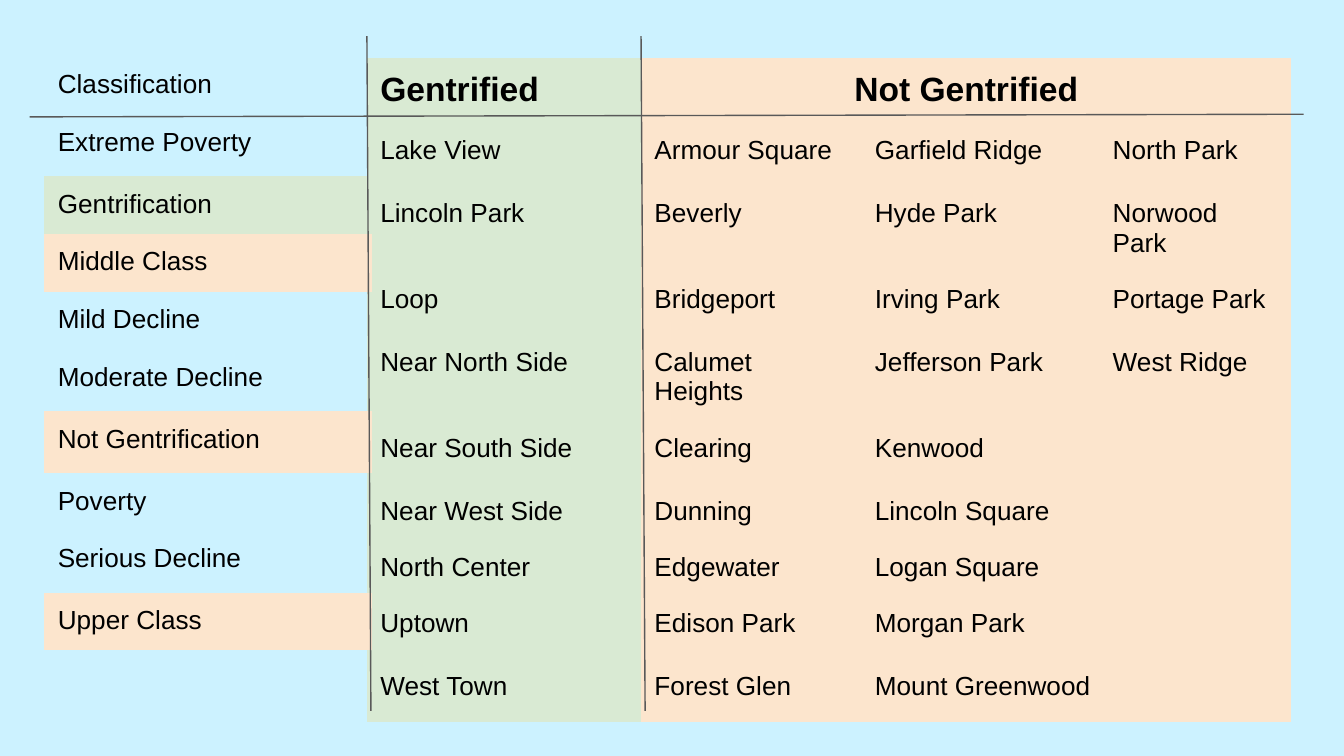
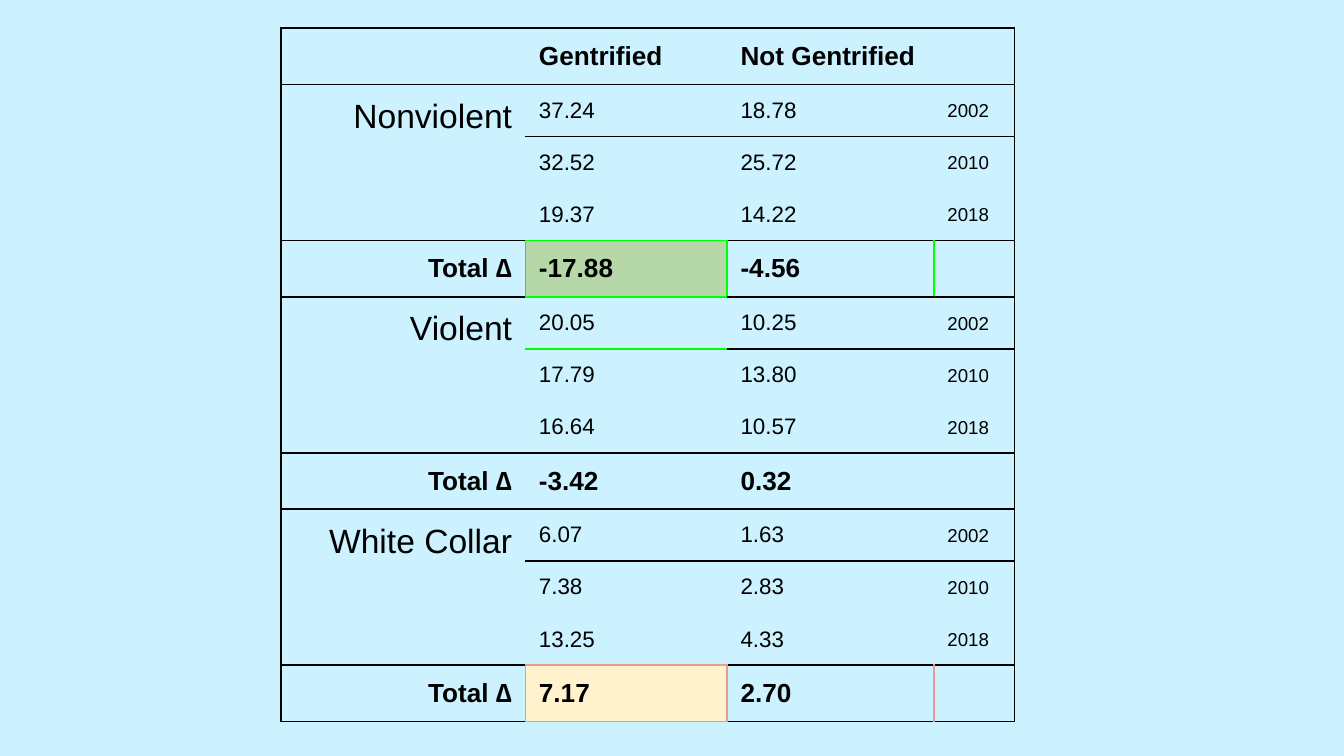
from lxml import etree
from pptx import Presentation, util as u
from pptx.dml import color
from pptx.enum import shapes, text
from pptx.oxml import ns

COLORS = {
    "sky": "CCF2FF", "ink": "000000", "rule": "595959", "green": "D9EAD3",
    "peach": "FCE5CD", "drop": "B6D7A8", "lime": "00FF00", "rise": "FFF2CC", "rose": "EA9999",
}
PLAIN_STYLE = "{2D5ABB26-0587-4C30-8999-92F81FD0307C}"
FORMATS = {
    "title": {"size": 18, "bold": True},
    "group": {"size": 18, "bold": False},
    "head": {"size": 14, "bold": True},
    "body": {"size": 14, "bold": False},
    "value": {"size": 12, "bold": False},
    "year": {"size": 10, "bold": False},
}
CLASSES = ["", "Classification", "Extreme Poverty", "Gentrification", "Middle Class",
           "Mild Decline", "Moderate Decline", "Not Gentrification", "Poverty",
           "Serious Decline", "Upper Class"]
CLASS_FILLS = {"Gentrification": "green", "Middle Class": "peach",
               "Not Gentrification": "peach", "Upper Class": "peach"}
CLASS_HEIGHTS = [0.46, 0.43, 0.46, 0.43, 0.43, 0.43, 0.46, 0.46, 0.43, 0.46, 0.43]
AREAS = [
    ["Gentrified", "Not Gentrified", "", ""],
    ["Lake View", "Armour Square", "Garfield Ridge", "North Park"],
    ["Lincoln Park", "Beverly", "Hyde Park", "Norwood Park"],
    ["Loop", "Bridgeport", "Irving Park", "Portage Park"],
    ["Near North Side", "Calumet Heights", "Jefferson Park", "West Ridge"],
    ["Near South Side", "Clearing", "Kenwood", ""],
    ["Near West Side", "Dunning", "Lincoln Square", ""],
    ["North Center", "Edgewater", "Logan Square", ""],
    ["Uptown", "Edison Park", "Morgan Park", ""],
    ["West Town", "Forest Glen", "Mount Greenwood", ""],
]
AREA_HEIGHTS = [0.25, 0.47, 0.47, 0.47, 0.47, 0.47, 0.25, 0.25, 0.47, 0.47]
CRIME = [
    ["", "Gentrified", "Not Gentrified", ""],
    ["Nonviolent", "37.24", "18.78", "2002"],
    ["", "32.52", "25.72", "2010"],
    ["", "19.37", "14.22", "2018"],
    ["Total ∆", "-17.88", "-4.56", ""],
    ["Violent", "20.05", "10.25", "2002"],
    ["", "17.79", "13.80", "2010"],
    ["", "16.64", "10.57", "2018"],
    ["Total ∆", "-3.42", "0.32", ""],
    ["White Collar", "6.07", "1.63", "2002"],
    ["", "7.38", "2.83", "2010"],
    ["", "13.25", "4.33", "2018"],
    ["Total ∆", "7.17", "2.70", ""],
]
ACCENTS = {4: ("drop", "lime"), 12: ("rise", "rose")}


def new_page(deck):
    """Add a blank slide with the shared background."""
    page = deck.slides.add_slide(deck.slide_layouts[6])
    page.background.fill.solid()
    page.background.fill.fore_color.rgb = color.RGBColor.from_string(COLORS["sky"])
    return page


def add_grid(page, box, widths, heights):
    """Add an unstyled table at the box's left and top."""
    frame = page.shapes.add_table(len(heights), len(widths), *map(u.Inches, box),
                                  u.Inches(sum(widths)), u.Inches(sum(heights)))
    table = frame.table
    table.first_row = table.horz_banding = False
    table._tbl.tblPr.find(ns.qn("a:tableStyleId")).text = PLAIN_STYLE
    for column, width in zip(table.columns, widths):
        column.width = u.Inches(width)
    for row, height in zip(table.rows, heights):
        row.height = u.Inches(height)
    return table


def set_borders(cell, borders):
    """Draw the given sides of a cell, each a colour name and a width."""
    properties = cell._tc.get_or_add_tcPr()
    for side in "LRTB":
        if side in borders:
            name, width = borders[side]
            line = etree.SubElement(properties, ns.qn(f"a:ln{side}"), w=str(u.Pt(width)))
            fill = etree.SubElement(line, ns.qn("a:solidFill"))
            etree.SubElement(fill, ns.qn("a:srgbClr"), val=COLORS[name])


def fill_cell(cell, words, style, fill=None, align=None, spacing=None):
    """Write a cell's text, margins and fill."""
    for side in ("left", "right", "top", "bottom"):
        setattr(cell, f"margin_{side}", u.Inches(0.1))
    if fill:
        cell.fill.solid()
        cell.fill.fore_color.rgb = color.RGBColor.from_string(COLORS[fill])
    else:
        cell.fill.background()
    para = cell.text_frame.paragraphs[0]
    if not words:
        size = FORMATS[style]["size"] * 100
        etree.SubElement(para._p, ns.qn("a:endParaRPr"), sz=str(size))
        return
    para.alignment = align
    para.line_spacing = spacing
    span = para.add_run()
    span.text = words
    span.font.color.rgb = color.RGBColor.from_string(COLORS["ink"])
    values = FORMATS[style] | {"name": "Arial", "size": u.Pt(FORMATS[style]["size"])}
    for key, value in values.items():
        setattr(span.font, key, value)


def add_rule(page, start, end):
    """Draw a thin grey line."""
    line = page.shapes.add_connector(shapes.MSO_CONNECTOR.STRAIGHT,
                                     *map(u.Inches, (*start, *end)))
    line.line.color.rgb = color.RGBColor.from_string(COLORS["rule"])
    line.line.width = u.Pt(0.75)
    etree.SubElement(line._element.spPr, ns.qn("a:effectLst"))


def add_divider(page, box):
    """Draw the slightly slanted column line that starts at the box."""
    left, top = box
    add_rule(page, box, (left + 0.03, top + 5.02))


def add_areas(page, box):
    """Build the table of community areas."""
    table = add_grid(page, box, [2.04, 1.64, 1.77, 1.43], AREA_HEIGHTS)
    table.cell(0, 1).merge(table.cell(0, 3))
    for row in range(6, 10):
        table.cell(row, 2).merge(table.cell(row, 3))
    for row, names in enumerate(AREAS):
        for column, name in enumerate(names):
            centred = row == 0 and column == 1
            fill_cell(table.cell(row, column), name, "body" if row else "title",
                      "peach" if column else "green",
                      text.PP_ALIGN.CENTER if centred else None)


def add_classes(page, box):
    """Build the list of classifications."""
    table = add_grid(page, box, [2.44], CLASS_HEIGHTS)
    for row, name in enumerate(CLASSES):
        fill_cell(table.cell(row, 0), name, "body", CLASS_FILLS.get(name))


def crime_borders(row, column):
    """Work out the borders of one cell of the crime table."""
    step = row % 4
    borders = {}
    if column == 0:
        borders["L"] = ("ink", 1)
    if column == 3:
        borders["R"] = ("ink", 1)
    if step in (0, 1):
        borders["T"] = ("ink", 1)
    if step in (0, 3) or (step == 1 and column == 0):
        borders["B"] = ("ink", 1)
    if row in ACCENTS:
        edge = ACCENTS[row][1]
        if column in (0, 1):
            borders["R"] = (edge, 0.75)
        if column in (1, 2):
            borders["L"] = (edge, 0.75)
    if column == 1:
        for accent, (_, edge) in ACCENTS.items():
            if row in (accent, accent + 1):
                borders["T"] = (edge, 1)
            if row in (accent, accent - 1):
                borders["B"] = (edge, 1)
    return borders


def add_crime(page, box):
    """Build the table of crime rates and their total changes."""
    heights = [0.27 if row and row % 4 in (0, 3) else 0.26 for row in range(len(CRIME))]
    table = add_grid(page, box, [1.82, 1.5, 1.54, 0.6], heights)
    for row in range(1, len(CRIME), 4):
        table.cell(row, 0).merge(table.cell(row + 2, 0))
    for row, values in enumerate(CRIME):
        for column, value in enumerate(values):
            cell = table.cell(row, column)
            style = ("group", "value", "value", "year")[column] if row % 4 else "head"
            if not value:
                style = "year"
            fill = ACCENTS[row][0] if row in ACCENTS and column == 1 else None
            if not cell.is_spanned:
                set_borders(cell, crime_borders(row, column))
            fill_cell(cell, value, style, fill,
                      text.PP_ALIGN.RIGHT if column == 0 else None,
                      1.15 if style == "year" else None)


def main():
    """Build and save the deck."""
    deck = Presentation()
    deck.slide_width = u.Inches(10)
    deck.slide_height = deck.slide_width * 9 // 16
    page = new_page(deck)
    add_areas(page, (2.73, 0.43))
    add_divider(page, (4.77, 0.27))
    add_rule(page, (9.7, 0.85), (0.22, 0.87))
    add_classes(page, (0.33, -0.04))
    add_divider(page, (2.73, 0.27))
    add_crime(new_page(deck), (2.09, 0.21))
    deck.save("out.pptx")


if __name__ == "__main__":
    main()
